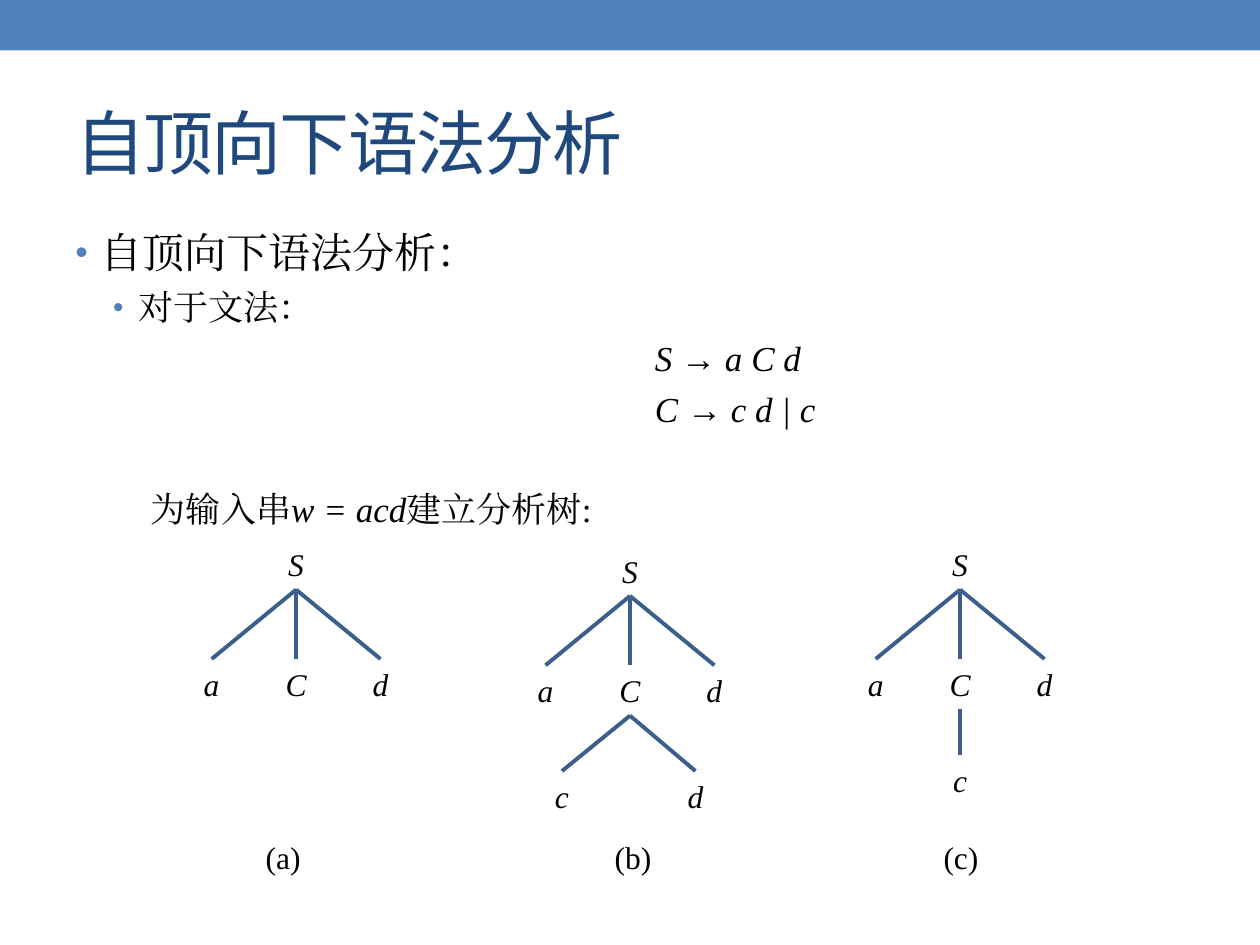
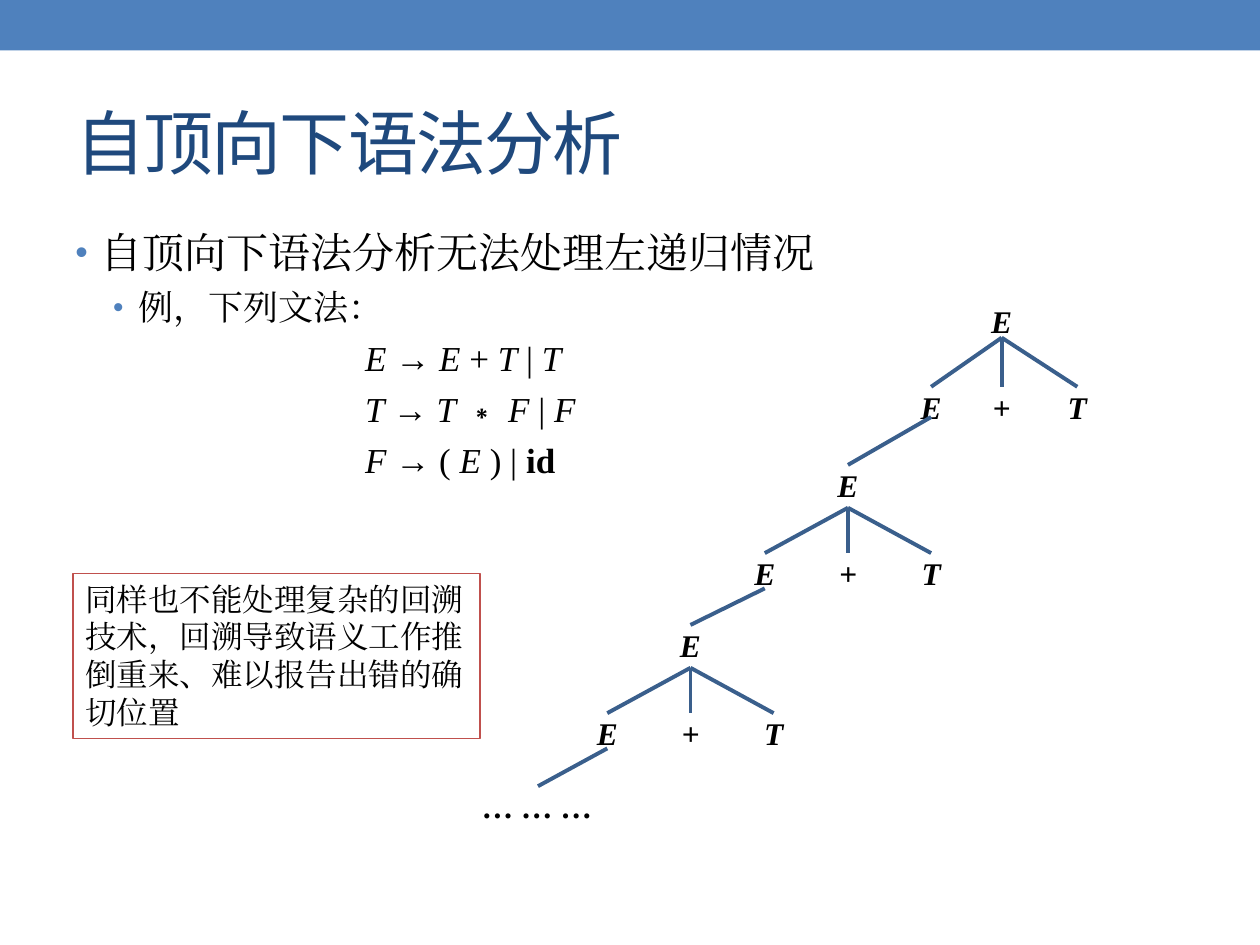
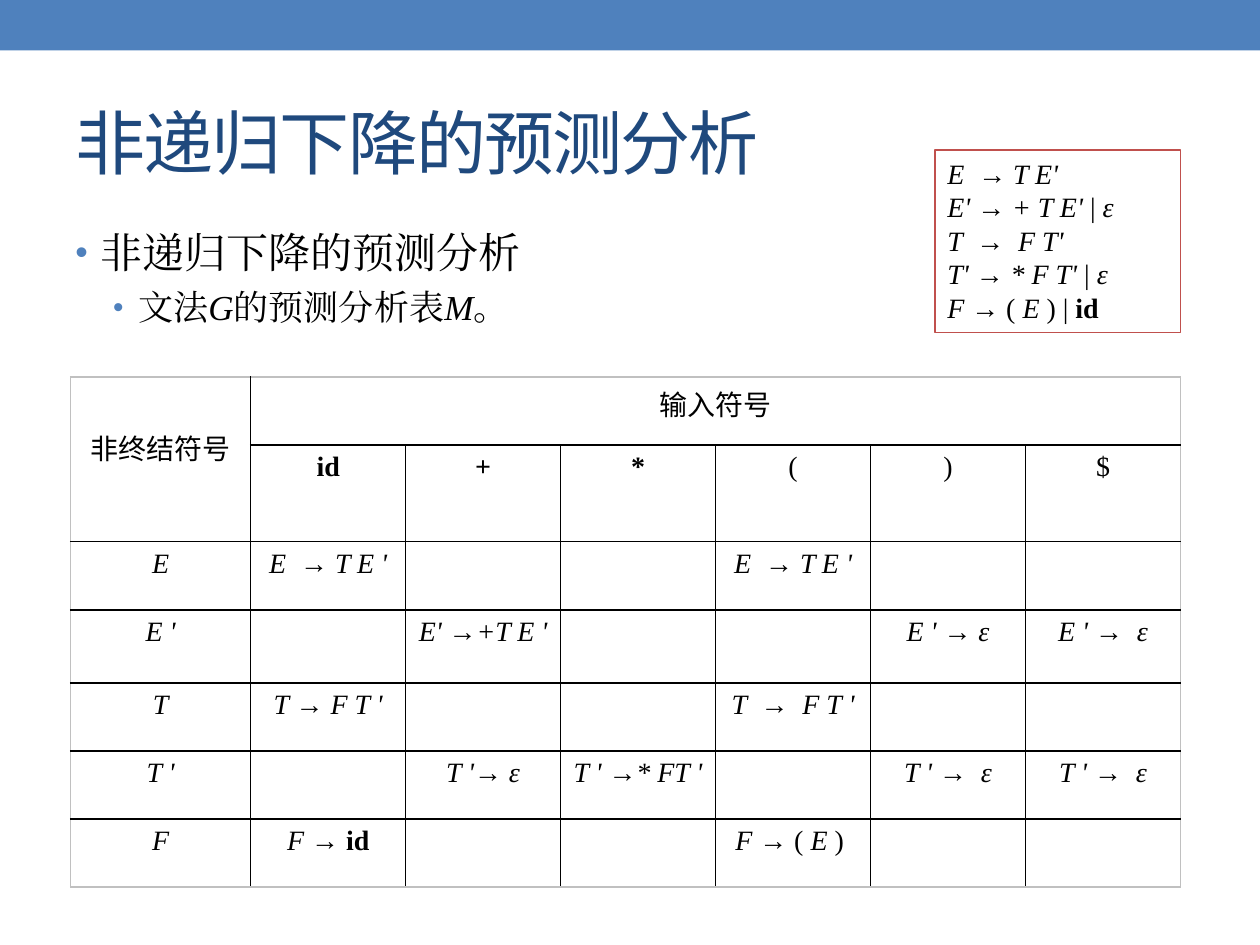
from dataclasses import dataclass

from lxml.etree import SubElement
from pptx import Presentation
from pptx.dml.color import RGBColor
from pptx.enum.shapes import MSO_CONNECTOR as Connector, MSO_SHAPE as Preset
from pptx.enum.text import MSO_ANCHOR as Anchor, PP_ALIGN as Align
from pptx.oxml.ns import qn
from pptx.util import Inches, Pt


@dataclass(frozen=True)
class Theme:
    band: str = "4F81BD"
    title: str = "1F497D"
    ink: str = "000000"
    branch: str = "3A5F8C"
    note_edge: str = "C0504D"
    table_edge: str = "C0C0C0"
    serif: str = "Times New Roman"
    sans: str = "Noto Sans CJK SC"
    title_size: int = 40
    topic_size: int = 24
    point_size: int = 20
    label_size: int = 18
    small_size: int = 16


@dataclass
class Node:
    label: str
    x: float
    top: float
    height: float = 0.4
    children: tuple = ()
    width: float = 0.46


@dataclass
class Line:
    text: str
    margin: float
    bullet: bool = False
    before: int = 5


def rgb(code):
    return RGBColor.from_string(code)


def split_italic_and_bold(text):
    for i, part in enumerate(text.split("_")):
        for j, piece in enumerate(part.split("^")):
            if piece:
                yield piece, i % 2 == 1, j % 2 == 1


class Deck:
    def __init__(self, theme):
        self.theme = theme
        self.prs = Presentation()
        self.prs.slide_width, self.prs.slide_height = Inches(10), Inches(7.5)
        self.slide = None

    def start(self, title):
        theme = self.theme
        self.slide = self.prs.slides.add_slide(self.prs.slide_layouts[6])
        band = self.rect(0, 0, 10, 0.4)
        band.fill.solid()
        band.fill.fore_color.rgb = rgb(theme.band)
        band.line.fill.background()
        frame = self.box(0.5, 0.58, 9, 1.08)
        frame.vertical_anchor = Anchor.MIDDLE
        self.add_runs(frame.paragraphs[0], title, theme.title_size, theme.title,
                      theme.sans, theme.sans, -100)

    def rect(self, left, top, width, height):
        shape = self.slide.shapes.add_shape(
            Preset.RECTANGLE, *map(Inches, (left, top, width, height)))
        shape.shadow.inherit = False
        return shape

    def box(self, left, top, width, height):
        frame = self.slide.shapes.add_textbox(
            *map(Inches, (left, top, width, height))).text_frame
        frame.word_wrap = True
        return frame

    def add_runs(self, paragraph, text, size, color=None, latin=None, asian=None, spacing=0):
        theme = self.theme
        for piece, italic, bold in split_italic_and_bold(text):
            run = paragraph.add_run()
            run.text = piece
            font = run.font
            font.size, font.italic, font.bold = Pt(size), italic, bold
            font.color.rgb = rgb(color or theme.ink)
            font.name = latin or theme.serif
            properties = run._r.get_or_add_rPr()
            SubElement(properties, qn("a:ea")).set("typeface", asian or theme.serif)
            if spacing:
                properties.set("spc", str(spacing))

    def body(self, height, *lines):
        theme = self.theme
        frame = self.box(0.5, 1.75, 9, height)
        for i, line in enumerate(lines):
            paragraph = frame.add_paragraph() if i else frame.paragraphs[0]
            properties = paragraph._p.get_or_add_pPr()
            properties.set("marL", str(Inches(line.margin)))
            properties.set("indent", str(Inches(-0.2 if line.bullet else 0)))
            if line.bullet:
                color = SubElement(properties, qn("a:buClr"))
                SubElement(color, qn("a:srgbClr")).set("val", theme.band)
                SubElement(properties, qn("a:buSzPct")).set("val", "85000")
                SubElement(properties, qn("a:buFont")).set("typeface", "Arial")
                SubElement(properties, qn("a:buChar")).set("char", "•")
            if i:
                paragraph.space_before = Pt(line.before)
            self.add_runs(paragraph, line.text, theme.point_size if i else theme.topic_size)

    def note(self, left, top, width, height, lines, size):
        shape = self.rect(left, top, width, height)
        shape.fill.background()
        shape.line.color.rgb = rgb(self.theme.note_edge)
        shape.line.width = Pt(0.75)
        frame = shape.text_frame
        frame.word_wrap = True
        frame.vertical_anchor = Anchor.TOP
        for i, line in enumerate(lines):
            paragraph = frame.add_paragraph() if i else frame.paragraphs[0]
            paragraph.alignment = Align.LEFT
            self.add_runs(paragraph, line, size)

    def caption(self, left, top, text):
        self.add_runs(self.box(left, top, 0.57, 0.4).paragraphs[0], text, self.theme.label_size)

    def tree(self, node, inset):
        label = self.slide.shapes.add_textbox(
            *map(Inches, (node.x - node.width / 2, node.top, node.width, node.height)))
        frame = label.text_frame
        frame.word_wrap = True
        frame.margin_left = frame.margin_right = Inches(inset)
        frame.margin_top = frame.margin_bottom = Inches(inset / 2)
        frame.paragraphs[0].alignment = Align.CENTER
        self.add_runs(frame.paragraphs[0], node.label, self.theme.label_size)
        for child in node.children:
            self.branch(label, self.tree(child, inset))
        return label

    def branch(self, parent, child):
        line = self.slide.shapes.add_connector(Connector.STRAIGHT, 0, 0, 0, 0)
        line.begin_connect(parent, 2)
        line.end_connect(child, 0)
        line.line.color.rgb = rgb(self.theme.branch)
        line.line.width = Pt(2.25)
        SubElement(line._element.spPr, qn("a:effectLst"))

    def table(self, left, top, widths, heights, rows, merges):
        table = self.slide.shapes.add_table(
            len(heights), len(widths),
            *map(Inches, (left, top, sum(widths), sum(heights)))).table
        table.first_row = table.horz_banding = False
        for column, width in zip(table.columns, widths):
            column.width = Inches(width)
        for row, height in zip(table.rows, heights):
            row.height = Inches(height)
        for first, last in merges:
            table.cell(*first).merge(table.cell(*last))
        for r, row in enumerate(rows):
            for c, text in enumerate(row):
                cell = table.cell(r, c)
                if cell.is_spanned:
                    continue
                right = c + (cell.span_width if cell.is_merge_origin else 1)
                bottom = r + (cell.span_height if cell.is_merge_origin else 1)
                self.borders(cell, {"L": c == 0, "R": right == len(widths),
                                    "T": r == 0, "B": bottom == len(heights)})
                cell.fill.background()
                cell.margin_left = cell.margin_right = Inches(0.05)
                paragraph = cell.text_frame.paragraphs[0]
                paragraph.alignment = Align.CENTER
                self.add_runs(paragraph, text, self.theme.small_size, asian=self.theme.sans)
        return table

    def borders(self, cell, outer_sides):
        properties = cell._tc.get_or_add_tcPr()
        for side, outer in outer_sides.items():
            line = SubElement(properties, qn(f"a:ln{side}"), w=str(Pt(1)))
            fill = SubElement(line, qn("a:solidFill"))
            color = self.theme.table_edge if outer else self.theme.ink
            SubElement(fill, qn("a:srgbClr")).set("val", color)


def derivation(x, top, below_c=()):
    leaves = tuple(
        Node(f"_{label}_", x + dx, top + 0.95, children=below_c if label == "C" else ())
        for label, dx in (("a", -0.67), ("C", 0), ("d", 0.67)))
    return Node("_S_", x, top, children=leaves)


def left_recursion(levels):
    if not levels:
        return Node("_^… … …^_", 4.27, 6.24, 0.36, width=1.98)
    x, top, height, leaf_top, leaf_height, left, right = levels[0]
    leaves = (
        Node("_^E^_", left, leaf_top, leaf_height, (left_recursion(levels[1:]),), 0.31),
        Node("_^+^_", x, leaf_top, leaf_height, width=0.31),
        Node("_^T^_", right, leaf_top, leaf_height, width=0.31))
    return Node("_^E^_", x, top, height, leaves, 0.3)


def top_down_slide(deck):
    deck.start("自顶向下语法分析")
    deck.body(
        5.33,
        Line("自顶向下语法分析：", 0.2, True),
        Line("对于文法：", 0.5, True),
        Line("_S → a C d_", 4.6),
        Line("_C → c d | c_", 4.6),
        Line("为输入串_w = acd_建立分析树:", 0.6, before=33))
    trees = (
        derivation(2.35, 4.28),
        derivation(5, 4.33, (Node("_c_", 4.46, 6.12), Node("_d_", 5.52, 6.12))),
        derivation(7.62, 4.28, (Node("_c_", 7.62, 5.99),)))
    for tree, left, mark in zip(trees, (2.01, 4.78, 7.39), "abc"):
        deck.tree(tree, 0.1)
        deck.caption(left, 6.6, f"({mark})")


def recursion_slide(deck):
    deck.start("自顶向下语法分析")
    deck.body(
        5.33,
        Line("自顶向下语法分析无法处理左递归情况", 0.2, True),
        Line("例，下列文法：", 0.5, True),
        Line("_E _→ _E_ + _T_ | _T_", 2.3),
        Line("_T _→ _T _∗ _F _| _F_", 2.3),
        Line("_F _→ ( _E_ ) |^ id^", 2.3))
    deck.tree(left_recursion((
        (7.95, 2.39, 0.29, 3.07, 0.24, 7.39, 8.55),
        (6.73, 3.69, 0.34, 4.39, 0.28, 6.07, 7.39),
        (5.48, 4.96, 0.34, 5.66, 0.28, 4.82, 6.14))), 0.02)
    deck.note(0.58, 4.55, 3.23, 1.31,
              ["同样也不能处理复杂的回溯技术，回溯导致语义工作推倒重来、难以报告出错的确切位置"],
              deck.theme.label_size)


def predictive_slide(deck):
    deck.start("非递归下降的预测分析")
    deck.body(
        1.44,
        Line("非递归下降的预测分析", 0.2, True),
        Line("文法_G_的预测分析表_M_。", 0.5, True))
    rows = (
        ("非终结符号", "输入符号", "", "", "", "", ""),
        ("", "^id^", "^+^", "^*^", "(", ")", "$"),
        ("_E_", "_E  → T E '_", "", "", "_E  → T E '_", "", ""),
        ("_E '_", "", "_E' →+T E '_", "", "", "_E ' → ε_", "_E ' →  ε_"),
        ("_T_", "_T → F T '_", "", "", "_T  →  F T '_", "", ""),
        ("_T '_", "", "_T '→ ε_", "_T ' →* FT '_", "", "_T ' →  ε_", "_T ' →  ε_"),
        ("_F_", "_F _→ ^id^", "", "", "_F _→ ( _E_ ) ", "", ""))
    table = deck.table(
        0.56, 2.99, [1.43] + [1.23] * 6, [0.54, 0.77, 0.54, 0.58, 0.54, 0.54, 0.54],
        rows, (((0, 0), (1, 0)), ((0, 1), (0, 6))))
    table.cell(0, 0).text_frame.paragraphs[0].line_spacing = 2.1
    deck.note(7.42, 1.19, 1.95, 1.45,
              ["_E  → T E'_", "_E' → + T E'_ | _ε_", "_T  →  F T'_",
               "_T' → * F T'_ | _ε_", "_F _→ ( _E_ ) | ^id^"],
              deck.theme.small_size)


def main():
    deck = Deck(Theme())
    top_down_slide(deck)
    recursion_slide(deck)
    predictive_slide(deck)
    deck.prs.save("out.pptx")


if __name__ == "__main__":
    main()
